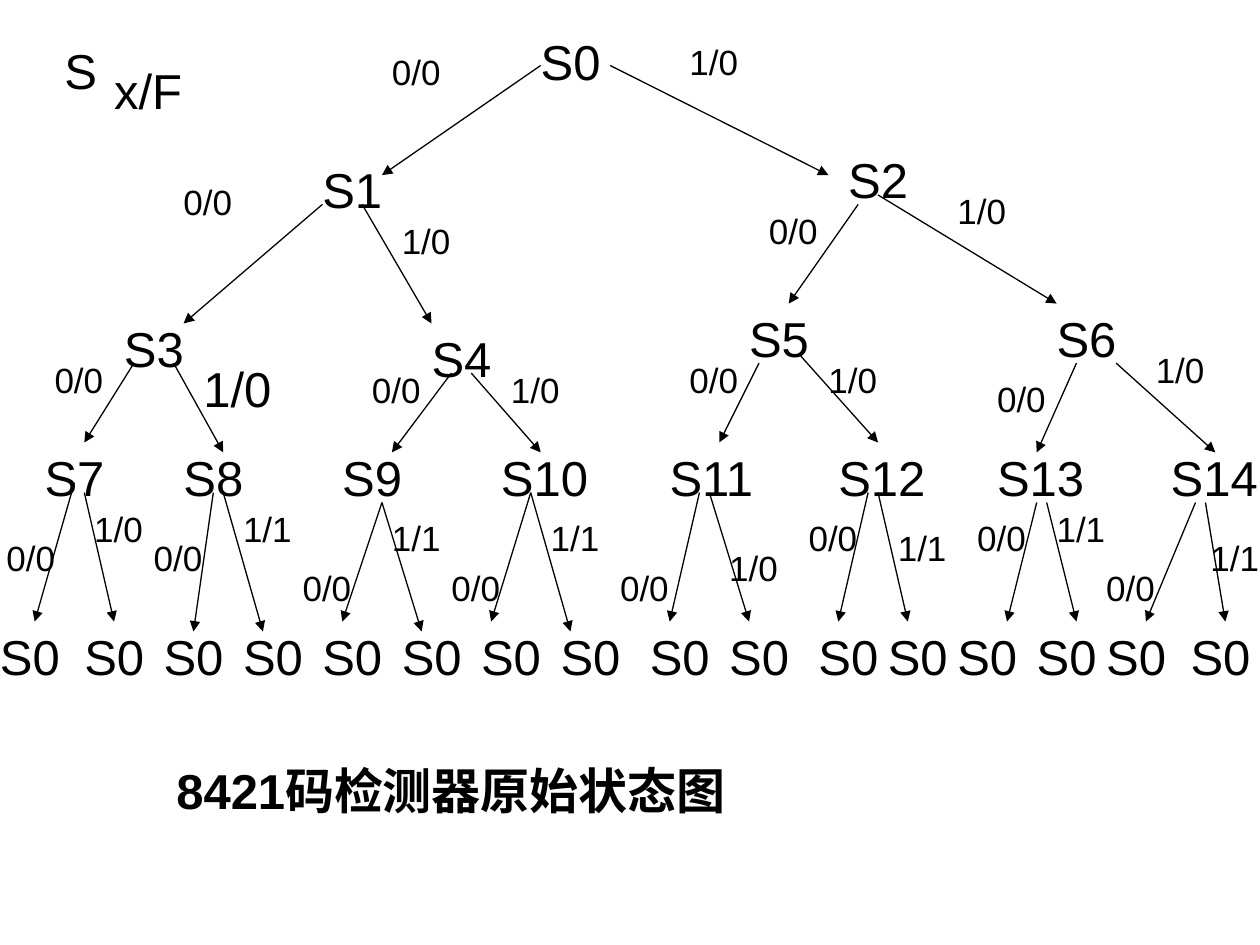
from lxml.etree import SubElement
from pptx import Presentation
from pptx.dml.color import RGBColor
from pptx.enum.shapes import MSO_CONNECTOR
from pptx.enum.text import MSO_ANCHOR, MSO_AUTO_SIZE, PP_ALIGN
from pptx.oxml.ns import qn
from pptx.util import Cm, Pt

BLACK = RGBColor(0, 0, 0)
WHITE = RGBColor(255, 255, 255)
FONT = "Arial"
BIG, SMALL = 28, 20
TOP_GAP = 0.1

CAPTION = "8421码检测器原始状态图"
LEGEND = [("S", 1.3, 0.72, 0.8), ("x/F", 2.3, 1.12, 1.5)]

# State positions in cm, S0 to S14, left to right on each level
STATES = [
    (10.9, 0.53),
    (6.5, 3.12), (17.1, 2.92),
    (2.5, 6.32), (8.7, 6.53), (15.1, 6.12), (21.3, 6.12),
    (0.9, 8.92), (3.7, 8.92), (6.9, 8.92), (10.1, 8.92),
    (13.5, 8.92), (16.9, 8.92), (20.1, 8.92), (23.6, 8.92),
]

# The last level returns to S0
RETURN_Y = 12.53
RETURN_X = [0, 1.7, 3.3, 4.9, 6.5, 8.1, 9.7, 11.3,
            13.1, 14.7, 16.5, 17.9, 19.3, 20.9, 22.3, 24]

# Input/output, label position, arrow start, arrow end; two per state
TRANSITIONS = [
    ("0/0", (7.9, 0.92), (10.9, 1.32), (7.7, 3.53)),
    ("1/0", (13.9, 0.72), (12.3, 1.32), (16.7, 3.53)),
    ("0/0", (3.7, 3.53), (6.5, 4.12), (3.7, 6.52)),
    ("1/0", (8.1, 4.32), (7.3, 4.12), (8.7, 6.52)),
    ("0/0", (15.5, 4.12), (17.3, 4.12), (15.9, 6.12)),
    ("1/0", (19.3, 3.73), (17.7, 3.93), (21.3, 6.12)),
    ("0/0", (1.1, 7.13), (2.7, 7.32), (1.7, 8.92)),
    ("1/0", (4.1, 7.13), (3.5, 7.32), (4.5, 9.12)),
    ("0/0", (7.5, 7.32), (9.1, 7.52), (7.9, 9.12)),
    ("1/0", (10.3, 7.32), (9.5, 7.52), (10.9, 9.12)),
    ("0/0", (13.9, 7.13), (15.3, 7.32), (14.5, 8.92)),
    ("1/0", (16.7, 7.13), (16.1, 7.13), (17.7, 8.92)),
    ("0/0", (20.1, 7.52), (21.7, 7.32), (20.9, 9.12)),
    ("1/0", (23.3, 6.93), (22.5, 7.32), (24.5, 9.12)),
    ("0/0", (0.13, 10.72), (1.5, 9.73), (0.7, 12.53)),
    ("1/0", (1.9, 10.13), (1.7, 9.93), (2.3, 12.53)),
    ("0/0", (3.1, 10.72), (4.3, 9.93), (3.9, 12.73)),
    ("1/1", (4.9, 10.13), (4.5, 9.93), (5.3, 12.73)),
    ("0/0", (6.1, 11.33), (7.7, 10.13), (6.9, 12.53)),
    ("1/1", (7.9, 10.32), (7.7, 10.13), (8.5, 12.73)),
    ("0/0", (9.1, 11.33), (10.7, 9.93), (9.9, 12.53)),
    ("1/1", (11.1, 10.32), (10.7, 9.93), (11.5, 12.73)),
    ("0/0", (12.5, 11.33), (14.1, 9.93), (13.5, 12.53)),
    ("1/0", (14.7, 10.92), (14.3, 9.93), (15.1, 12.53)),
    ("0/0", (16.3, 10.32), (17.5, 9.93), (16.9, 12.53)),
    ("1/1", (18.1, 10.52), (17.7, 9.93), (18.3, 12.53)),
    ("0/0", (19.7, 10.32), (20.9, 10.13), (20.3, 12.53)),
    ("1/1", (21.3, 10.13), (21.1, 10.13), (21.7, 12.53)),
    ("0/0", (22.3, 11.33), (24.1, 10.13), (23.1, 12.53)),
    ("1/1", (24.4, 10.72), (24.3, 10.13), (24.7, 12.53)),
]
LARGE_LABEL = 7  # the 1/0 transition out of S3


def write(tf, text, size, bold=False):
    tf.word_wrap = True
    tf.auto_size = MSO_AUTO_SIZE.NONE
    tf.vertical_anchor = MSO_ANCHOR.TOP
    p = tf.paragraphs[0]
    p.alignment = PP_ALIGN.LEFT
    p.space_before = Pt(0)
    r = p.add_run()
    r.text = text
    r.font.name = FONT
    r.font.size = Pt(size)
    r.font.bold = bold
    r.font.color.rgb = BLACK


def add_label(s, text, x, y, width, size=BIG):
    height = 1.2 if size == BIG else 0.84
    tf = s.shapes.add_textbox(Cm(x), Cm(y), Cm(width), Cm(height)).text_frame
    tf.margin_left = tf.margin_right = tf.margin_bottom = 0
    tf.margin_top = Cm(TOP_GAP)
    write(tf, text, size)


def add_arrow(s, start, end):
    points = [Cm(v) for v in (*start, *end)]
    line = s.shapes.add_connector(MSO_CONNECTOR.STRAIGHT, *points)
    line.line.color.rgb = BLACK
    line.line.width = Pt(0.75)
    SubElement(line.line._get_or_add_ln(), qn("a:tailEnd"), type="triangle")
    SubElement(line._element.spPr, qn("a:effectLst"))


def main():
    prs = Presentation()
    prs.slide_width, prs.slide_height = Cm(25.4), Cm(19.05)
    s = prs.slides.add_slide(prs.slide_layouts[5])
    s.background.fill.solid()
    s.background.fill.fore_color.rgb = WHITE

    title = s.shapes.title
    title.left, title.top, title.width, title.height = (
        Cm(v) for v in (3.3, 15.11, 19, 1.45))
    title.text_frame.margin_top = Cm(0.13 + TOP_GAP)
    write(title.text_frame, CAPTION, BIG, bold=True)

    for text, x, y, width in LEGEND:
        add_label(s, text, x, y, width)
    for i, (x, y) in enumerate(STATES):
        add_label(s, f"S{i}", x, y, 1.5 if i < 10 else 1.8)
    for x in RETURN_X:
        add_label(s, "S0", x, RETURN_Y, 1.4)
    for i, (text, (x, y), start, end) in enumerate(TRANSITIONS):
        large = i == LARGE_LABEL
        add_label(s, text, x, y, 1.5 if large else 1, BIG if large else SMALL)
        add_arrow(s, start, end)

    prs.save("out.pptx")


if __name__ == "__main__":
    main()
